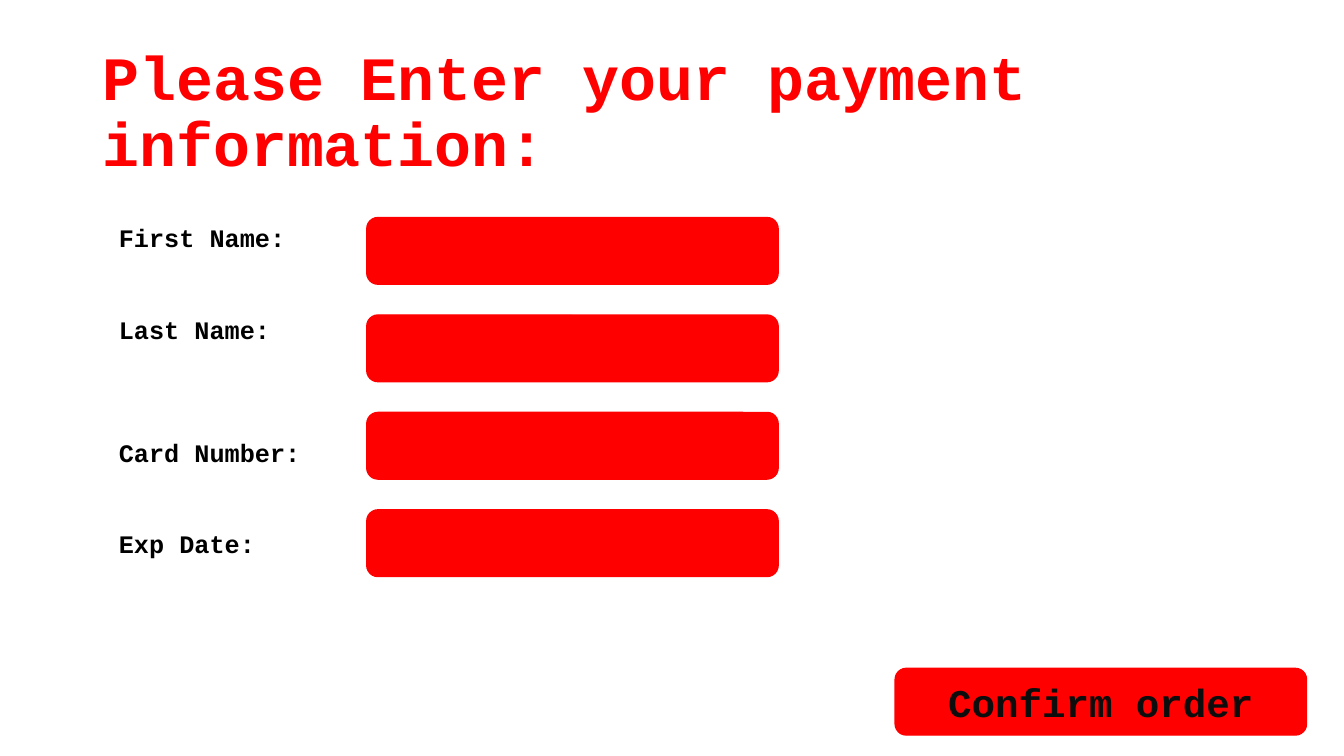
from pptx import Presentation
from pptx.dml.color import RGBColor
from pptx.enum.shapes import MSO_SHAPE as Shape
from pptx.enum.text import MSO_ANCHOR as Anchor, PP_ALIGN as Align
from pptx.util import Pt

COLOURS = {"red": "FF0000", "black": "000000", "button_text": "0D0D0D"}
FONT = "Courier New"
FIELD_SIZE = (293.8, 47.6)
FIELD_LEFT, FIELD_TOP, FIELD_PITCH = 262, 155.4, 69.6
# Each label with the space above it
LABELS = [("First Name:", 0), ("Last Name:", 44),
          ("Card Number:", 66), ("Exp Date:", 44)]


def colour(name):
    """Return the named colour."""
    return RGBColor.from_string(COLOURS[name])


def write(para, text, size=18, ink="black", align=Align.LEFT,
          before=0, line_spacing=1.0):
    """Put bold text into a paragraph."""
    para.alignment = align
    para.space_before = Pt(before)
    para.line_spacing = line_spacing
    span = para.add_run()
    span.text = text
    span.font.name = FONT
    span.font.size = Pt(size)
    span.font.bold = True
    span.font.color.rgb = colour(ink)


def add_text(page, left, top, width, height, anchor=Anchor.TOP):
    """Add a wrapping text box and return its text frame."""
    box = page.shapes.add_textbox(Pt(left), Pt(top), Pt(width), Pt(height))
    frame = box.text_frame
    frame.word_wrap = True
    frame.vertical_anchor = anchor
    return frame


def add_field(page, left, top):
    """Add a red rounded box and return it."""
    width, height = FIELD_SIZE
    field = page.shapes.add_shape(Shape.ROUNDED_RECTANGLE, Pt(left), Pt(top),
                                  Pt(width), Pt(height))
    field.shadow.inherit = False
    field.fill.solid()
    field.fill.fore_color.rgb = colour("red")
    field.line.color.rgb = colour("red")
    field.line.width = Pt(1)
    return field


def add_labels(page):
    """Add the column of field labels."""
    frame = add_text(page, 77.8, 155.4, 172, 247)
    for index, (label, before) in enumerate(LABELS):
        para = frame.add_paragraph() if index else frame.paragraphs[0]
        write(para, label, before=before)


def add_button(page, left, top, text):
    """Add a rounded box with a centred caption."""
    frame = add_field(page, left, top).text_frame
    frame.vertical_anchor = Anchor.MIDDLE
    write(frame.paragraphs[0], text, size=28, ink="button_text",
          align=Align.CENTER)


def main():
    """Build the payment form slide."""
    deck = Presentation()
    deck.slide_width, deck.slide_height = Pt(960), Pt(540)
    page = deck.slides.add_slide(deck.slide_layouts[6])
    title = add_text(page, 66, 28.8, 828, 104.4, anchor=Anchor.MIDDLE)
    write(title.paragraphs[0], "Please Enter your payment information:",
          size=44, ink="red", line_spacing=0.9)
    for row in range(len(LABELS)):
        add_field(page, FIELD_LEFT, FIELD_TOP + row * FIELD_PITCH)
    add_labels(page)
    add_button(page, 639.4, 477.4, "Confirm order")
    deck.save("out.pptx")


main()
